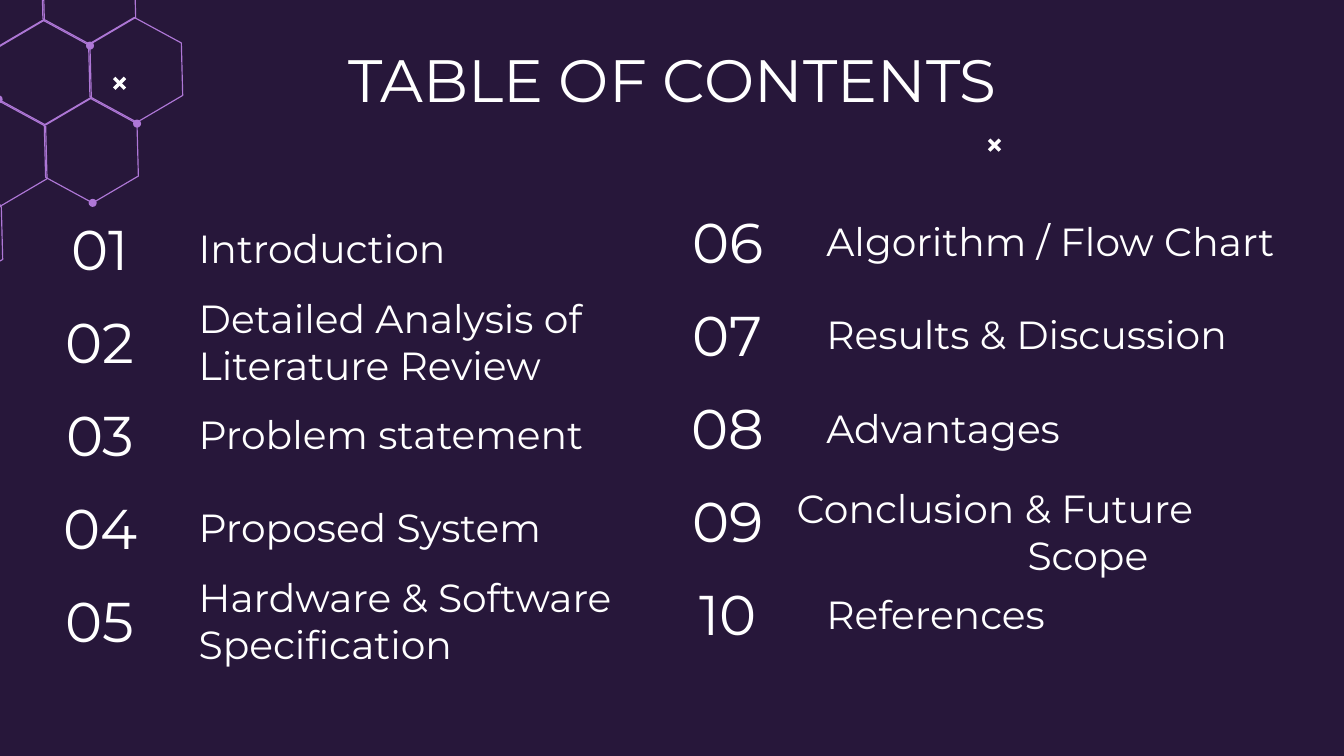
"""Build a two-column table of contents slide with a hexagon lattice in its corner."""
from dataclasses import dataclass

import pptx
import pptx.dml.color
import pptx.enum.shapes
import pptx.enum.text
import pptx.oxml
import pptx.util
from pptx.enum.text import MSO_ANCHOR, PP_ALIGN

Inches = pptx.util.Inches
Point = tuple[float, float]


@dataclass(frozen=True)
class Theme:
    font: str = "Montserrat"
    background: str = "27173A"
    ink: str = "FFFFFF"
    lattice: str = "AE77D6"
    title_size: int = 32
    number_size: int = 30
    topic_size: int = 21
    lattice_line: float = 0.61
    cross_line: float = 1.84


@dataclass(frozen=True)
class Column:
    left: float
    top: float


@dataclass(frozen=True)
class Entry:
    lines: tuple[str, ...]
    shift: Point = (0, 0)
    width: float = 4.09


@dataclass(frozen=True)
class Node:
    cell: tuple[int, int]
    corner: int


THEME = Theme()
SLIDE_WIDTH = 10
SLIDE_HEIGHT = SLIDE_WIDTH * 9 / 16
MARGIN = 0.1
ROW_PITCH, ROW_HEIGHT = (4.35 - 1.58) / 4, 0.53
NUMBER_WIDTH, TOPIC_OFFSET = 1.07, 1.17
COLUMNS = (Column(0.21, 1.58), Column(4.88, 1.53))
ENTRIES = (
    Entry(("Introduction",)),
    Entry(("Detailed Analysis of Literature Review",)),
    Entry(("Problem statement",)),
    Entry(("Proposed System",)),
    Entry(("Hardware & Software Specification",)),
    Entry(("Algorithm / Flow Chart",)),
    Entry(("Results & Discussion",)),
    Entry(("Advantages",)),
    Entry(("Conclusion & Future", "Scope"), shift=(-0.22, 0.08), width=4.53),
    Entry(("References",)),
)
ROWS_PER_COLUMN = len(ENTRIES) // len(COLUMNS)

LATTICE_ORIGIN = (-0.02, -0.04)
ACROSS, DOWN = (0.68, -0.02), (0.35, 0.58)
HALF_HEXAGON = ((0.35, 0.19), (0.34, -0.2), (-0.01, -0.39))
HEXAGON = HALF_HEXAGON + tuple((-x, -y) for x, y in HALF_HEXAGON)
CELLS = ((0, 0), (1, 0), (0, 1), (1, 1), (-1, 2), (0, 2), (-2, 3))
NODES = (Node((0, 2), 5), Node((0, 2), 1), Node((0, 1), 4), Node((0, 1), 1))
NODE_SIZE = 0.06
CROSSES = ((7.36, 1.04), (0.85, 0.58))
CROSS_SIZE = 0.08


def rgb(value: str) -> pptx.dml.color.RGBColor:
    """Turn a hex string into a colour."""
    return pptx.dml.color.RGBColor.from_string(value)


def hexagon_corners(cell: tuple[int, int]) -> list[Point]:
    """Return the six corners of a lattice cell."""
    column, row = cell
    x, y = (LATTICE_ORIGIN[i] + column * ACROSS[i] + row * DOWN[i] for i in (0, 1))
    return [(x + dx, y + dy) for dx, dy in HEXAGON]


def draw_hexagon(slide, cell: tuple[int, int]) -> None:
    """Outline one lattice cell."""
    start, *others = [(Inches(x), Inches(y)) for x, y in hexagon_corners(cell)]
    builder = slide.shapes.build_freeform(*start)
    builder.add_line_segments(others, close=True)
    hexagon = builder.convert_to_shape()
    hexagon.shadow.inherit = False
    hexagon.fill.background()
    hexagon.line.color.rgb = rgb(THEME.lattice)
    hexagon.line.width = pptx.util.Pt(THEME.lattice_line)


def draw_node(slide, node: Node) -> None:
    """Place a dot on a corner of a lattice cell."""
    x, y = hexagon_corners(node.cell)[node.corner]
    dot = slide.shapes.add_shape(
        pptx.enum.shapes.MSO_SHAPE.OVAL,
        Inches(x - NODE_SIZE / 2), Inches(y - NODE_SIZE / 2),
        Inches(NODE_SIZE), Inches(NODE_SIZE))
    dot.shadow.inherit = False
    dot.fill.solid()
    dot.fill.fore_color.rgb = rgb(THEME.lattice)
    dot.line.fill.background()


def draw_cross(slide, left: float, top: float) -> None:
    """Draw two crossing diagonals."""
    bottom = top + CROSS_SIZE
    for start, end in ((bottom, top), (top, bottom)):
        stroke = slide.shapes.add_connector(
            pptx.enum.shapes.MSO_CONNECTOR.STRAIGHT,
            Inches(left), Inches(start), Inches(left + CROSS_SIZE), Inches(end))
        stroke.line.color.rgb = rgb(THEME.ink)
        stroke.line.width = pptx.util.Pt(THEME.cross_line)
        properties = stroke.element.spPr
        properties.append(properties.makeelement(pptx.oxml.ns.qn("a:effectLst"), {}))


def write(shape, lines: tuple[str, ...], size: int, alignments: tuple,
          anchor: MSO_ANCHOR = MSO_ANCHOR.MIDDLE) -> None:
    """Fill a shape with one paragraph per line."""
    frame = shape.text_frame
    frame.word_wrap = True
    frame.auto_size = pptx.enum.text.MSO_AUTO_SIZE.NONE
    frame.vertical_anchor = anchor
    frame.margin_left = frame.margin_right = Inches(MARGIN)
    frame.margin_top = frame.margin_bottom = Inches(MARGIN)
    for index, line in enumerate(lines):
        paragraph = frame.add_paragraph() if index else frame.paragraphs[0]
        paragraph.alignment = alignments[index]
        run = paragraph.add_run()
        run.text = line
        run.font.name = THEME.font
        run.font.size = pptx.util.Pt(size)
        run.font.color.rgb = rgb(THEME.ink)


def draw_entry(slide, index: int, entry: Entry) -> None:
    """Place an entry's number and topic in its column and row."""
    column_index, row = divmod(index, ROWS_PER_COLUMN)
    column = COLUMNS[column_index]
    top = column.top + row * ROW_PITCH
    number = slide.shapes.add_textbox(
        Inches(column.left), Inches(top), Inches(NUMBER_WIDTH), Inches(ROW_HEIGHT))
    write(number, (f"{index + 1:02}",), THEME.number_size, (PP_ALIGN.CENTER,))
    topic = slide.shapes.add_textbox(
        Inches(column.left + TOPIC_OFFSET + entry.shift[0]),
        Inches(top + entry.shift[1]), Inches(entry.width), Inches(ROW_HEIGHT))
    write(topic, entry.lines, THEME.topic_size, (PP_ALIGN.LEFT, PP_ALIGN.CENTER))


def main() -> None:
    """Assemble and save the slide."""
    deck = pptx.Presentation()
    deck.slide_width, deck.slide_height = Inches(SLIDE_WIDTH), Inches(SLIDE_HEIGHT)
    slide = deck.slides.add_slide(deck.slide_layouts.get_by_name("Title Only"))
    slide.background.fill.solid()
    slide.background.fill.fore_color.rgb = rgb(THEME.background)

    for cell in CELLS:
        draw_hexagon(slide, cell)
    for node in NODES:
        draw_node(slide, node)

    title = slide.shapes.title
    title.left, title.top = Inches(0.79), Inches(0.22)
    title.width, title.height = Inches(8.43), Inches(0.63)
    write(title, ("TABLE OF CONTENTS",), THEME.title_size, (PP_ALIGN.CENTER,),
          MSO_ANCHOR.TOP)

    for index, entry in enumerate(ENTRIES):
        draw_entry(slide, index, entry)
    for left, top in CROSSES:
        draw_cross(slide, left, top)
    deck.save("out.pptx")


if __name__ == "__main__":
    main()
